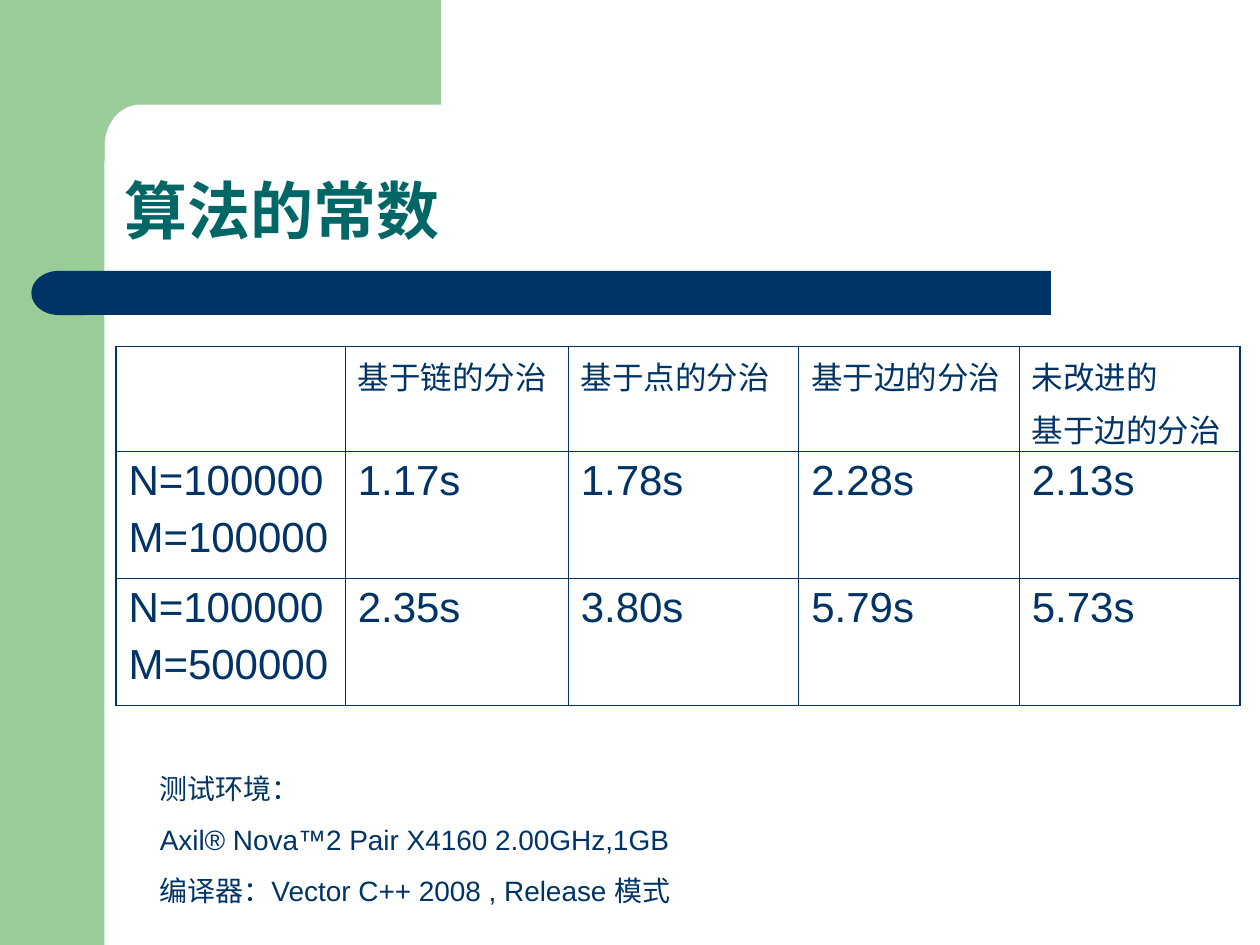
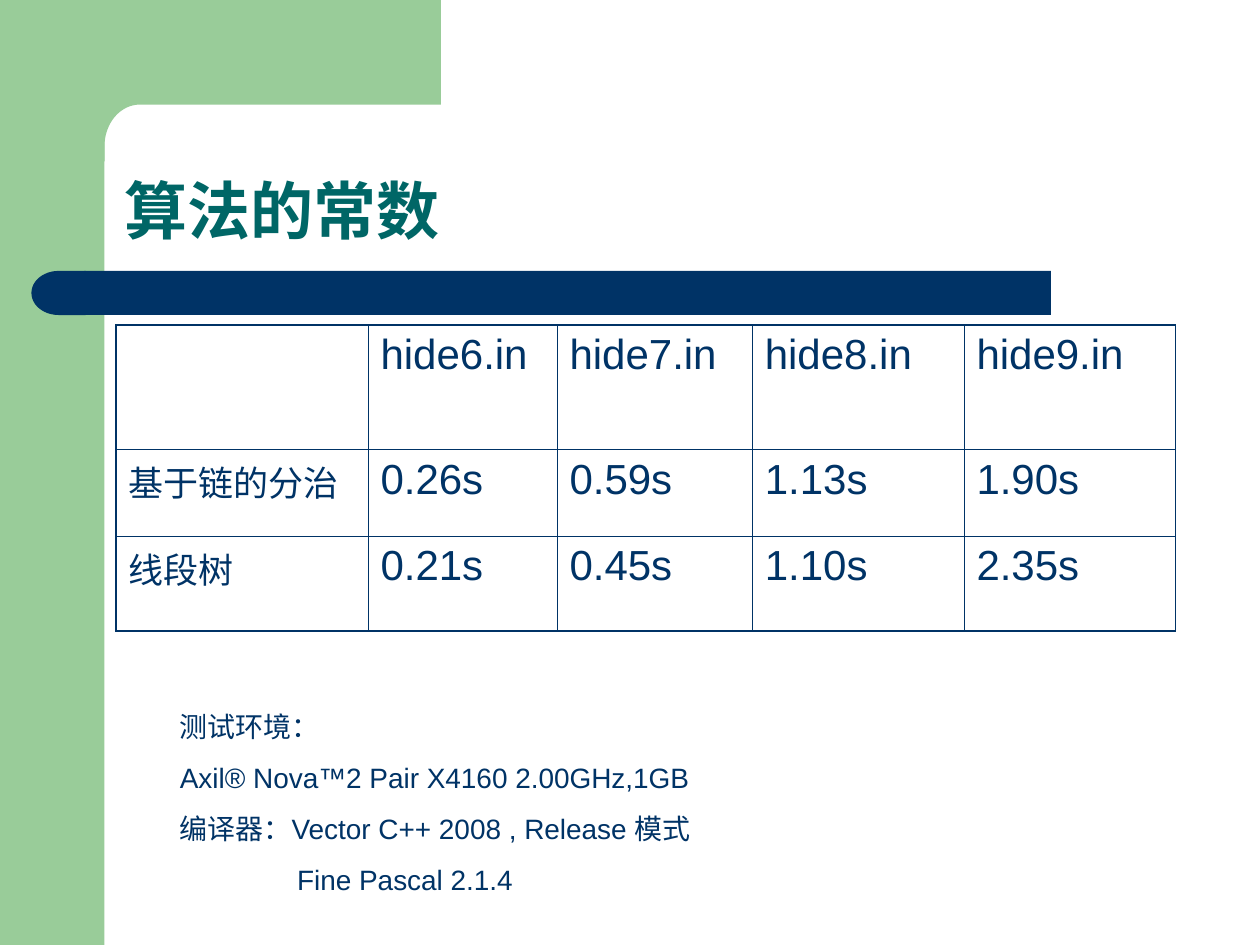
from dataclasses import dataclass
from math import cos, pi, sin

from lxml import etree
from pptx import Presentation
from pptx.dml.color import RGBColor
from pptx.enum.shapes import MSO_SHAPE
from pptx.enum.text import MSO_ANCHOR, MSO_AUTO_SIZE
from pptx.oxml.ns import qn
from pptx.util import Inches, Pt

RECT = MSO_SHAPE.RECTANGLE
DELAY = MSO_SHAPE.FLOWCHART_DELAY
BOTTOM, TOP = MSO_ANCHOR.BOTTOM, MSO_ANCHOR.TOP
GROW, FIXED = MSO_AUTO_SIZE.SHAPE_TO_FIT_TEXT, MSO_AUTO_SIZE.NONE

GREEN, NAVY, TEAL = "99CC99", "003366", "006666"
THIN, THICK = 0.45, 1.08
TITLE = "算法的常数"
SETUP = [
    "测试环境：",
    "Axil® Nova™2 Pair X4160 2.00GHz,1GB",
    "编译器：Vector C++ 2008 , Release 模式",
]


@dataclass
class Box:
    left: float
    top: float
    width: float
    height: float

    def place(self) -> list:
        return [Inches(n) for n in (self.left, self.top, self.width, self.height)]


@dataclass
class Grid:
    left: float
    top: float
    cols: list[float]
    rows: list[float]
    head: int  # text size of the top row
    stub: int  # text size of the first column
    cells: list[list[str]]
    body: int = 24


@dataclass
class Page:
    grid: Grid
    note: Box
    lines: list[str]
    extra: str = ""  # second compiler, set below the first


PAGES = [
    Page(
        Grid(0.92, 2.75, [1.82, 1.77, 1.83, 1.75, 1.75], [0.83, 1.01, 1.01], 18, 24, [
            ["", "基于链的分治", "基于点的分治", "基于边的分治", "未改进的\n基于边的分治"],
            ["N=100000\nM=100000", "1.17s", "1.78s", "2.28s", "2.13s"],
            ["N=100000\nM=500000", "2.35s", "3.80s", "5.79s", "5.73s"],
        ]),
        Box(1.17, 6.07, 7.5, 1.18), SETUP,
    ),
    Page(
        Grid(0.92, 2.58, [2, 1.5, 1.55, 1.68, 1.68], [0.99, 0.69, 0.75], 24, 20, [
            ["", "hide6.in", "hide7.in", "hide8.in", "hide9.in"],
            ["基于链的分治", "0.26s", "0.59s", "1.13s", "1.90s"],
            ["线段树", "0.21s", "0.45s", "1.10s", "2.35s"],
        ]),
        Box(1.33, 5.58, 7.5, 1.59), SETUP, "Fine Pascal 2.1.4",
    ),
]


def rgb(code: str) -> RGBColor:
    return RGBColor.from_string(code)


def apply(target, values: dict) -> None:
    for name, value in values.items():
        setattr(target, name, value)


def paint(shape, code: str) -> None:
    shape.shadow.inherit = False
    shape.fill.solid()
    shape.fill.fore_color.rgb = rgb(code)
    shape.line.fill.background()


def write(frame, lines: list[str], size: int, code: str, para: dict, bold: bool = False) -> None:
    frame.text = "\n".join(lines)
    for item in frame.paragraphs:
        apply(item, para)
        for run in item.runs:
            apply(run.font, {"name": "Arial", "size": Pt(size), "bold": bold})
            run.font.color.rgb = rgb(code)


def add_text(slide, box: Box, lines: list[str], size: int, code: str, para: dict,
             form: dict, bold: bool = False):
    frame = slide.shapes.add_textbox(*box.place()).text_frame
    apply(frame, {"word_wrap": True, **form})
    write(frame, lines, size, code, para, bold)
    return frame


def add_frame(slide, layout) -> None:
    """Draw the green frame and navy bar, then move them to the layout."""
    side = slide.shapes.add_shape(RECT, *Box(0, 0, 0.83, 7.5).place())
    # Top block with a rounded inner corner
    turns = [pi / 2 * step / 16 for step in range(17)]
    arc = [(1.11 - 0.28 * sin(t), 1.16 - 0.33 * cos(t)) for t in turns]
    edge = [(3.5, 0.83), *arc, (0.83, 1.28), (0.5, 1.28), (0.5, 0)]
    pen = slide.shapes.build_freeform(Inches(3.5), 0)
    pen.add_line_segments([(Inches(x), Inches(y)) for x, y in edge], close=True)
    block = pen.convert_to_shape()
    # Bar under the title, with its round end
    bar = slide.shapes.add_shape(RECT, *Box(0.67, 2.15, 7.67, 0.35).place())
    tip = slide.shapes.add_shape(DELAY, *Box(0.25, 2.15, 0.43, 0.35).place())
    tip.element.spPr.xfrm.set("flipH", "1")

    tree = layout.element.cSld.spTree
    for holder in list(layout.placeholders):
        tree.remove(holder.element)
    for shape, code in ((side, GREEN), (block, GREEN), (bar, NAVY), (tip, NAVY)):
        paint(shape, code)
        tree.append(shape.element)


def add_edge(cell, side: str, width: float) -> None:
    line = etree.SubElement(cell._tc.get_or_add_tcPr(), qn(f"a:ln{side}"), w=str(Pt(width)))
    fill = etree.SubElement(line, qn("a:solidFill"))
    etree.SubElement(fill, qn("a:srgbClr"), val=NAVY)


def add_grid(slide, grid: Grid) -> None:
    rows, cols = len(grid.rows), len(grid.cols)
    box = Box(grid.left, grid.top, sum(grid.cols), sum(grid.rows))
    table = slide.shapes.add_table(rows, cols, *box.place()).table
    apply(table, {"first_row": False, "horz_banding": False})
    for col, width in zip(table.columns, grid.cols):
        col.width = Inches(width)
    for row, height in zip(table.rows, grid.rows):
        row.height = Inches(height)
    for r, texts in enumerate(grid.cells):
        for c, text in enumerate(texts):
            cell = table.cell(r, c)
            size = grid.head if r == 0 else grid.stub if c == 0 else grid.body
            write(cell.text_frame, [text], size, NAVY, {"space_before": Pt(size / 4)})
            # Heavy lines on the outside only
            outer = {"L": c == 0, "R": c == cols - 1, "T": r == 0, "B": r == rows - 1}
            for side, heavy in outer.items():
                add_edge(cell, side, THICK if heavy else THIN)
            cell.fill.background()


def add_page(deck, layout, page: Page):
    slide = deck.slides.add_slide(layout)
    add_text(slide, Box(0.89, 0.89, 8.54, 1.13), [TITLE], 36, TEAL, {"line_spacing": 0.9},
             {"vertical_anchor": BOTTOM, "auto_size": FIXED}, bold=True)
    lines = page.lines + ([page.extra] if page.extra else [])
    note = add_text(slide, page.note, lines, 16, NAVY, {"space_before": Pt(10)},
                    {"vertical_anchor": TOP, "auto_size": GROW})
    if page.extra:
        last = note.paragraphs[-1]
        last._p.get_or_add_pPr().set("marL", str(Inches(0.93)))
    add_grid(slide, page.grid)
    return slide


def main() -> None:
    deck = Presentation()
    apply(deck, {"slide_width": Inches(10), "slide_height": Inches(7.5)})
    layout = deck.slide_layouts[6]
    slides = [add_page(deck, layout, page) for page in PAGES]
    add_frame(slides[0], layout)
    deck.save("out.pptx")


if __name__ == "__main__":
    main()
